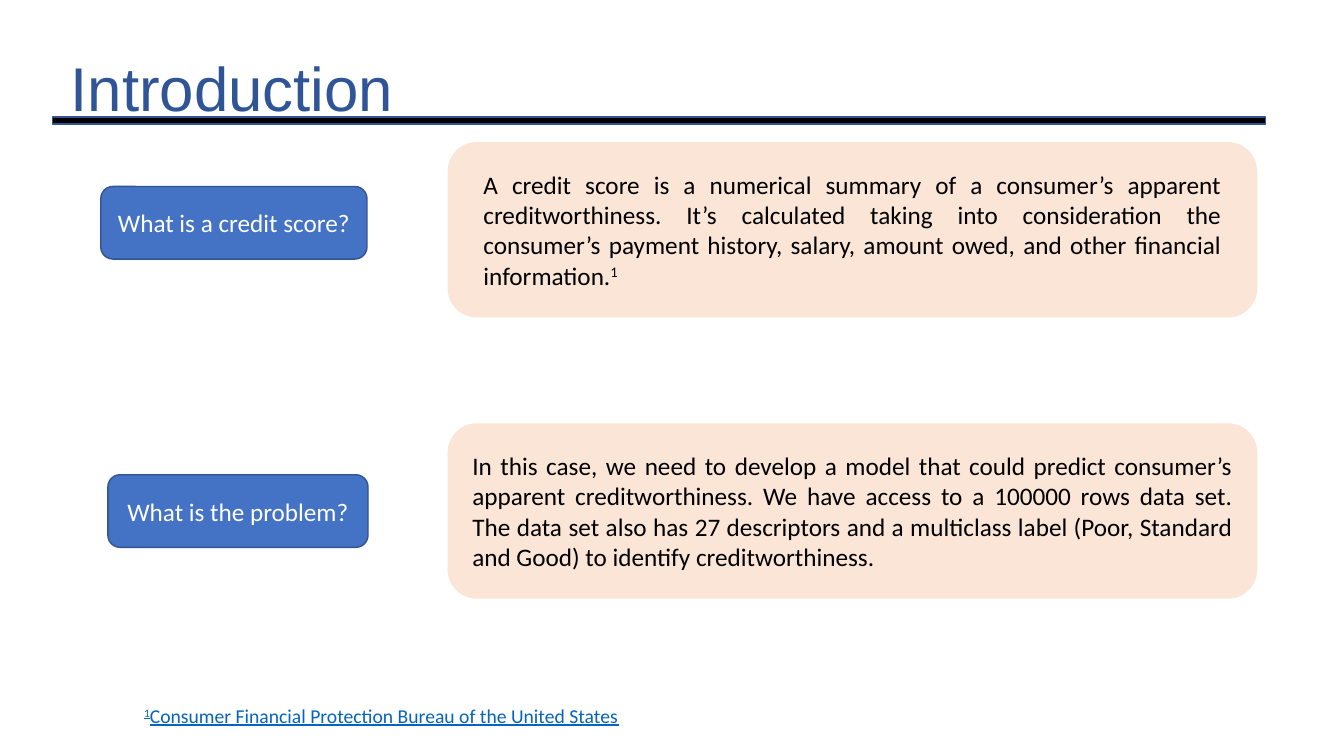
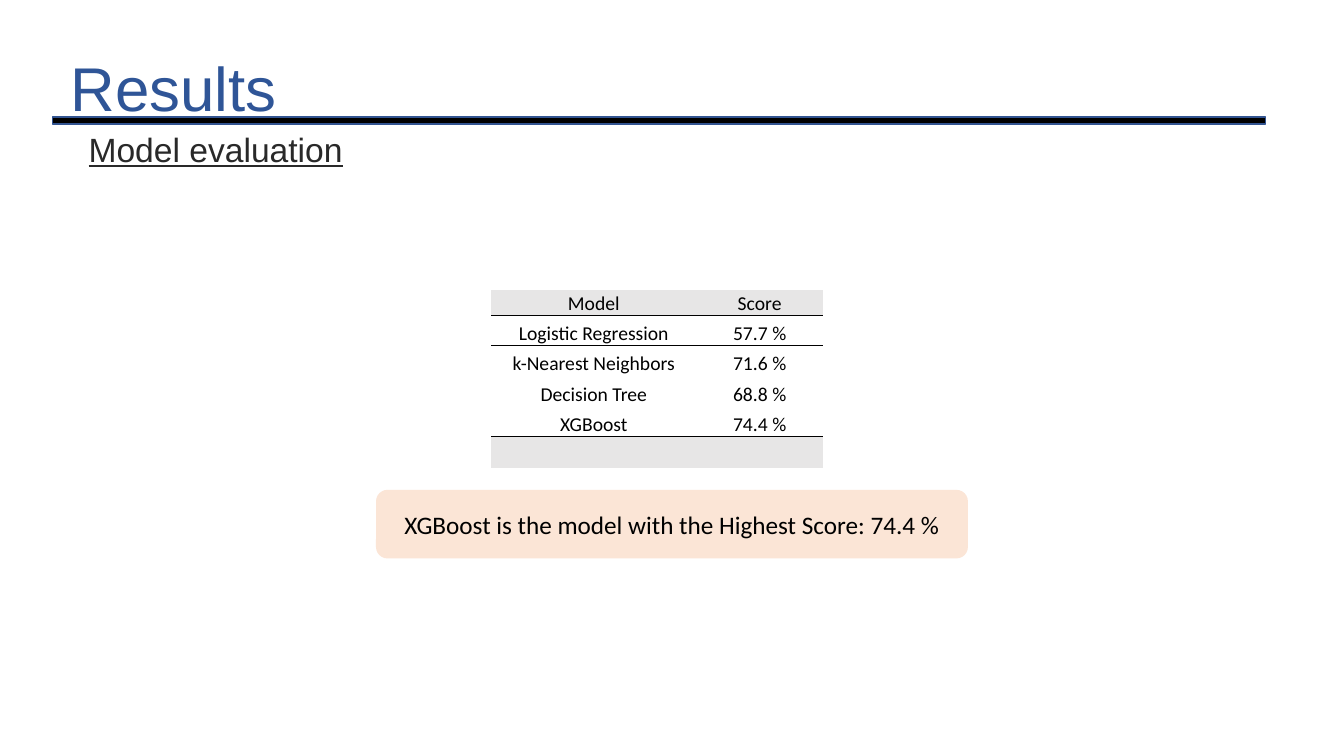
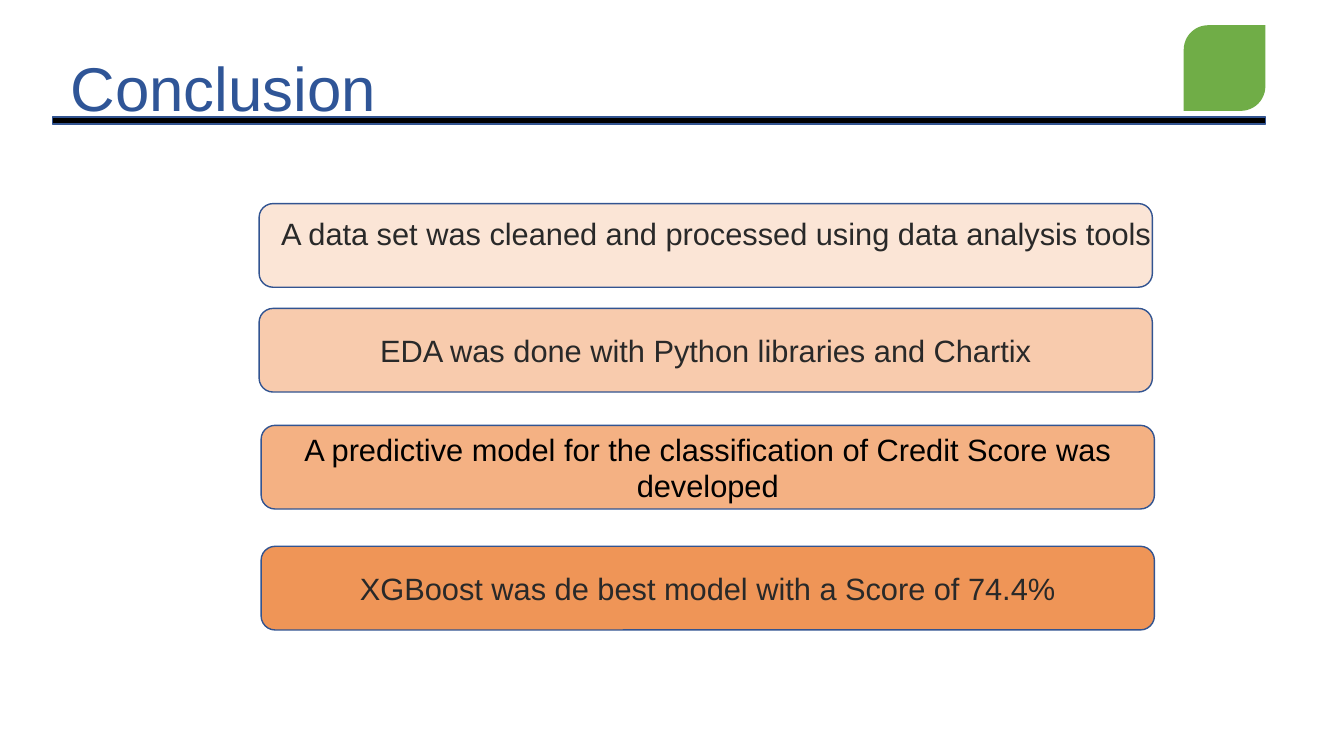
from lxml import etree
from pptx import Presentation
from pptx import util as u
from pptx.dml.color import RGBColor
from pptx.enum import shapes, text
from pptx.oxml.ns import qn


class Theme:
    title, rule, outline = "2F5597", "000000", "325491"
    label, panel, band, leaf = "4472C4", "FBE5D6", "E7E6E6", "70AD47"
    black, gray, white, link = "000000", "292929", "FFFFFF", "0563C1"
    head, body = "Arial", "Calibri"
    title_size, subtitle_size, card_size, body_size, small_size = 44.1, 24, 22, 18, 14


# Content
QUESTIONS = [
    # question, label box, answer, footnote mark, panel top, side margin
    ("What is a credit score?", (1, 1.85, 2.64, 0.72),
     "A credit score is a numerical summary of a consumer’s apparent "
     "creditworthiness. It’s calculated taking into consideration the consumer’s "
     "payment history, salary, amount owed, and other financial information.",
     "1", 1.41, 0.27),
    ("What is the problem?", (1.07, 4.71, 2.58, 0.72),
     "In this case, we need to develop a model that could predict consumer’s "
     "apparent creditworthiness. We have access to a 100000 rows data set. The data "
     "set also has 27 descriptors and a multiclass label (Poor, Standard and Good) "
     "to identify creditworthiness.",
     "", 4.2, 0.16),
]
FOOTNOTE = ("1", "Consumer Financial Protection Bureau of the United States")
SCORES = [
    ("Model", "Score"),
    ("Logistic Regression", "57.7 %"),
    ("k-Nearest Neighbors", "71.6 %"),
    ("Decision Tree", "68.8 %"),
    ("XGBoost", "74.4 %"),
    ("", ""),
]
BEST_MODEL = "XGBoost is the model with the Highest Score: 74.4 %"
FIRST_CONCLUSION = "A data set was cleaned and processed using data analysis tools"
CONCLUSIONS = [
    # text, left, top, fill, text colour
    ("", 2.57, 2.02, Theme.panel, Theme.gray),
    ("EDA was done with Python libraries and Chartix", 2.57, 3.06, "F8CBAD", Theme.gray),
    ("A predictive model for the classification of Credit Score was developed",
     2.59, 4.22, "F4B183", Theme.black),
    ("XGBoost was de best model with a Score of 74.4%", 2.59, 5.42, "EF9557", Theme.gray),
]

ALIGN = text.PP_ALIGN
ANCHOR = text.MSO_ANCHOR
KIND = shapes.MSO_SHAPE
NO_GRID_STYLE = "{2D5ABB26-0587-4C30-8999-92F81FD0307C}"

deck = Presentation()
deck.slide_width, deck.slide_height = u.Inches(13.33), u.Inches(7.5)


# Helpers
def inches(lengths):
    return [u.Inches(length) for length in lengths]


def paint(fill, color):
    fill.solid()
    fill.fore_color.rgb = RGBColor.from_string(color)


def style(span, size, color, font=Theme.body, underline=None, raised=False):
    span.font.size, span.font.name, span.font.underline = u.Pt(size), font, underline
    span.font.color.rgb = RGBColor.from_string(color)
    if raised:
        span._r.get_or_add_rPr().set("baseline", "30000")


def write(frame, words, size, color, font=Theme.body, align=ALIGN.LEFT,
          anchor=ANCHOR.TOP, margin=0.1, underline=None):
    frame.word_wrap = True
    frame.vertical_anchor = anchor
    frame.margin_left = frame.margin_right = u.Inches(margin)
    para = frame.paragraphs[0]
    para.text = words
    para.alignment = align
    for span in para.runs:
        style(span, size, color, font, underline)
    return para


def add_box(page, kind, place, fill, line=None):
    box = page.shapes.add_shape(kind, *inches(place))
    box.shadow.inherit = False
    paint(box.fill, fill)
    if line:
        box.line.color.rgb = RGBColor.from_string(line)
        box.line.width = u.Pt(1)
    else:
        box.line.fill.background()
    return box


def add_text(page, place, words, size, color, **options):
    frame = page.shapes.add_textbox(*inches(place)).text_frame
    return write(frame, words, size, color, **options)


def add_page(title):
    page = deck.slides.add_slide(deck.slide_layouts[5])
    holder = page.shapes.title
    holder.left, holder.top, holder.width, holder.height = inches((0.34, 0.35, 12.48, 1.02))
    write(holder.text_frame, title, Theme.title_size, Theme.title, font=Theme.head,
          anchor=ANCHOR.MIDDLE, margin=0.36)
    holder.text_frame.auto_size = text.MSO_AUTO_SIZE.NONE
    add_box(page, KIND.RECTANGLE, (0.52, 1.16, 12.03, 0.07), Theme.rule, Theme.outline)
    return page


def add_border(cell, side):
    border = etree.Element(qn("a:" + side), w=str(u.Pt(0.5)))
    fill = etree.SubElement(border, qn("a:solidFill"))
    etree.SubElement(fill, qn("a:srgbClr"), val=Theme.black)
    cell._tc.get_or_add_tcPr().insert(0, border)


# Introduction
page = add_page("Introduction")
for question, place, answer, mark, top, margin in QUESTIONS:
    label = add_box(page, KIND.ROUNDED_RECTANGLE, place, Theme.label, Theme.outline)
    write(label.text_frame, question, Theme.body_size, Theme.white,
          align=ALIGN.CENTER, anchor=ANCHOR.MIDDLE, margin=0.05)
    panel = add_box(page, KIND.ROUNDED_RECTANGLE, (4.44, top, 8.03, 1.74), Theme.panel)
    para = write(panel.text_frame, answer, Theme.body_size, Theme.black,
                 align=ALIGN.JUSTIFY, anchor=ANCHOR.MIDDLE, margin=margin)
    if mark:
        span = para.add_run()
        span.text = mark
        style(span, Theme.body_size, Theme.black, raised=True)

mark, source = FOOTNOTE
para = add_text(page, (1.33, 6.93, 11.48, 0.34), mark, Theme.small_size, Theme.link)
style(para.runs[0], Theme.small_size, Theme.link, underline=True, raised=True)
span = para.add_run()
span.text = source
style(span, Theme.small_size, Theme.link, underline=True)

# Results
page = add_page("Results")
add_text(page, (0.78, 1.23, 6.67, 0.5), "Model evaluation", Theme.subtitle_size,
         Theme.gray, font=Theme.head, underline=True)

last = len(SCORES) - 1
table = page.shapes.add_table(len(SCORES), 2, *inches((4.87, 2.88, 3.29, 1.75))).table
table._tbl.tblPr.find(qn("a:tableStyleId")).text = NO_GRID_STYLE
for column, width in zip(table.columns, (2.04, 1.25)):
    column.width = u.Inches(width)
for index, row in enumerate(SCORES):
    table.rows[index].height = u.Inches(0.3 if index else 0.25)
    for cell, words in zip(table.rows[index].cells, row):
        write(cell.text_frame, words, Theme.small_size, Theme.black, align=ALIGN.CENTER)
        cell.vertical_anchor = ANCHOR.BOTTOM
        cell.margin_left = cell.margin_right = cell.margin_top = u.Inches(0.01)
        cell.margin_bottom = 0
        if index in (0, last):
            paint(cell.fill, Theme.band)
            add_border(cell, "lnT" if index else "lnB")
        else:
            cell.fill.background()
        if index == 1:
            add_border(cell, "lnT")
        if index == last - 1:
            add_border(cell, "lnB")

callout = add_box(page, KIND.ROUNDED_RECTANGLE, (3.73, 4.86, 5.87, 0.68), Theme.panel)
write(callout.text_frame, BEST_MODEL, Theme.body_size, Theme.black,
      align=ALIGN.CENTER, anchor=ANCHOR.MIDDLE)

# Conclusion
page = add_page("Conclusion")
leaf = add_box(page, KIND.ROUND_2_DIAG_RECTANGLE, (11.74, 0.25, 0.81, 0.85), Theme.leaf)
leaf.adjustments[0] = 0.3
for words, left, top, fill, color in CONCLUSIONS:
    card = add_box(page, KIND.ROUNDED_RECTANGLE, (left, top, 8.86, 0.83), fill, Theme.outline)
    if words:
        write(card.text_frame, words, Theme.card_size, color, font=Theme.head,
              align=ALIGN.CENTER, anchor=ANCHOR.MIDDLE)
add_text(page, (2.69, 2.08, 10, 0.77), FIRST_CONCLUSION, Theme.card_size, Theme.gray,
         font=Theme.head)

deck.save("out.pptx")
